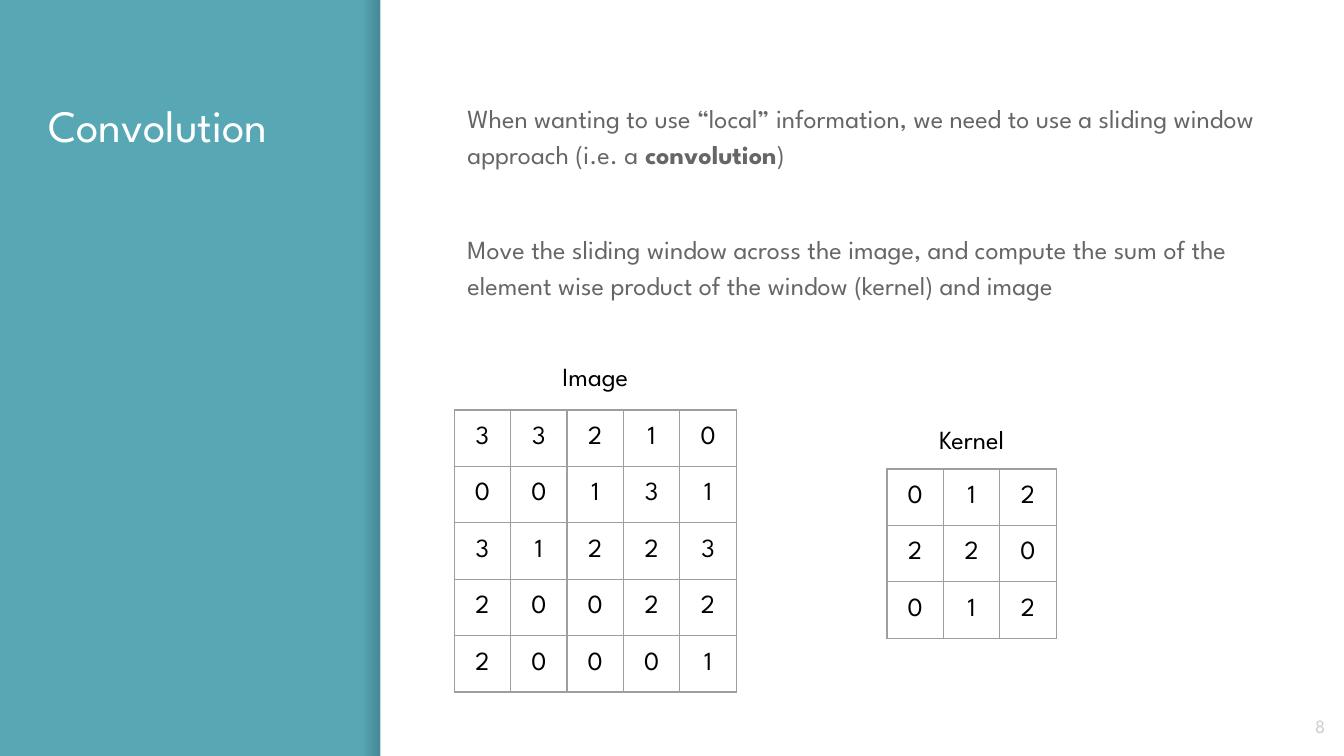
"""Build a slide that introduces convolution with an image grid and a kernel grid."""
from dataclasses import dataclass

import pptx
import pptx.dml.color
import pptx.enum.shapes
import pptx.enum.text
import pptx.oxml
import pptx.oxml.ns
import pptx.util
from pptx.util import Inches

FONT = "League Spartan"
COLORS = {
    "teal": "57A7B5",
    "white": "FFFFFF",
    "shade": "000014",
    "body": "666666",
    "black": "000000",
    "page": "CCCCCC",
    "rule": "9E9E9E",
}
WIDE = 10
TALL = WIDE * 9 / 16
CELL = 0.42
LABEL = 0.43
ALIGN = pptx.enum.text.PP_ALIGN
ANCHOR = pptx.enum.text.MSO_ANCHOR


@dataclass
class Box:
    left: float
    top: float
    width: float
    height: float

    def place(self) -> tuple:
        return tuple(Inches(n) for n in (self.left, self.top, self.width, self.height))


@dataclass
class Grid:
    name: str
    left: float
    top: float
    gap: float
    rows: list[str]


GRIDS = [
    Grid("Image", 3.38, 3.05, 0.04, ["33210", "00131", "31223", "20022", "20001"]),
    Grid("Kernel", 6.6, 3.49, 0.01, ["012", "220", "012"]),
]
BODY = [
    "When wanting to use “local” information, we need to use a sliding window "
    "approach (i.e. a **convolution**)",
    "Move the sliding window across the image, and compute the sum of the "
    "element wise product of the window (kernel) and image",
]


def rgb(name: str) -> pptx.dml.color.RGBColor:
    return pptx.dml.color.RGBColor.from_string(COLORS[name])


def node(tag: str, rest: str):
    return pptx.oxml.parse_xml(f'<a:{tag} {pptx.oxml.ns.nsdecls("a")} {rest}</a:{tag}>')


def write(frame, *lines: str, size=14, color="black", align=ALIGN.LEFT,
          pitch=None, gap=0) -> None:
    for row, line in enumerate(lines):
        para = frame.add_paragraph() if row else frame.paragraphs[0]
        para.alignment = align
        if pitch:
            para.line_spacing = pitch
        para.space_before = pptx.util.Pt(gap if row else 0)
        for spot, part in enumerate(line.split("**")):
            run = para.add_run()
            run.text = part
            run.font.name = FONT
            run.font.size = pptx.util.Pt(size)
            run.font.bold = spot % 2 == 1
            run.font.color.rgb = rgb(color)


def inset(item, side: float, edge: float) -> None:
    item.margin_left = item.margin_right = Inches(side)
    item.margin_top = item.margin_bottom = Inches(edge)


def label(slide, box: Box, *lines: str, anchor=ANCHOR.TOP, **form) -> None:
    frame = slide.shapes.add_textbox(*box.place()).text_frame
    frame.word_wrap = True
    frame.vertical_anchor = anchor
    inset(frame, 0.1, 0.1)
    write(frame, *lines, **form)


def panel(slide, box: Box):
    kind = pptx.enum.shapes.MSO_SHAPE.RECTANGLE
    shape = slide.shapes.add_shape(kind, *box.place())
    shape.shadow.inherit = False
    shape.line.fill.background()
    return shape


def paint(fill, name: str) -> None:
    fill.solid()
    fill.fore_color.rgb = rgb(name)


def shade(slide, box: Box) -> None:
    shape = panel(slide, box)
    shape.fill.gradient()
    shape.fill.gradient_angle = 0
    for spot, stop in enumerate(shape.fill.gradient_stops):
        stop.position = spot
        stop.color.rgb = rgb("shade")
    tones = shape._element.spPr.iter(pptx.oxml.ns.qn("a:srgbClr"))
    for tone, alpha in zip(tones, (0, 20000)):
        tone.append(node("alpha", f'val="{alpha}">'))


def border(cell) -> None:
    props = cell._tc.get_or_add_tcPr()
    fill = f'<a:solidFill><a:srgbClr val="{COLORS["rule"]}"/></a:solidFill>'
    for side in "LRTB":
        props.append(node(f"ln{side}", f'w="{pptx.util.Pt(0.75)}">{fill}'))


def draw(slide, grid: Grid) -> None:
    tall, wide = len(grid.rows), len(grid.rows[0])
    box = Box(grid.left, grid.top, wide * CELL, tall * CELL)
    table = slide.shapes.add_table(tall, wide, *box.place()).table
    table.first_row = table.horz_banding = False
    for line in table.columns:
        line.width = Inches(CELL)
    for line in table.rows:
        line.height = Inches(CELL)
    for cell, digit in zip(table.iter_cells(), "".join(grid.rows)):
        border(cell)
        cell.fill.background()
        cell.vertical_anchor = ANCHOR.MIDDLE
        inset(cell, 0.1, 0.09)
        write(cell.text_frame, digit, align=ALIGN.CENTER)
    head = Box(grid.left, grid.top - LABEL - grid.gap, wide * CELL, LABEL)
    label(slide, head, grid.name, anchor=ANCHOR.MIDDLE, align=ALIGN.CENTER)


def main() -> None:
    deck = pptx.Presentation()
    deck.slide_width, deck.slide_height = Inches(WIDE), Inches(TALL)
    slide = deck.slides.add_slide(deck.slide_layouts[6])
    paint(slide.background.fill, "teal")
    shade(slide, Box(2.7, 0, 0.12, TALL))
    paint(panel(slide, Box(2.83, 0, WIDE - 2.83, TALL)).fill, "white")
    label(slide, Box(0.26, 0.63, 2.24, 4.35), "Convolution", size=24, color="white")
    label(slide, Box(3.38, 0.63, 6.12, 4.35), *BODY, color="body", pitch=1.15, gap=31.3)
    label(slide, Box(9.36, 5.19, 0.6, 0.43), "8", anchor=ANCHOR.MIDDLE,
          size=10, color="page", align=ALIGN.RIGHT)
    for grid in GRIDS:
        draw(slide, grid)
    deck.save("out.pptx")


if __name__ == "__main__":
    main()
